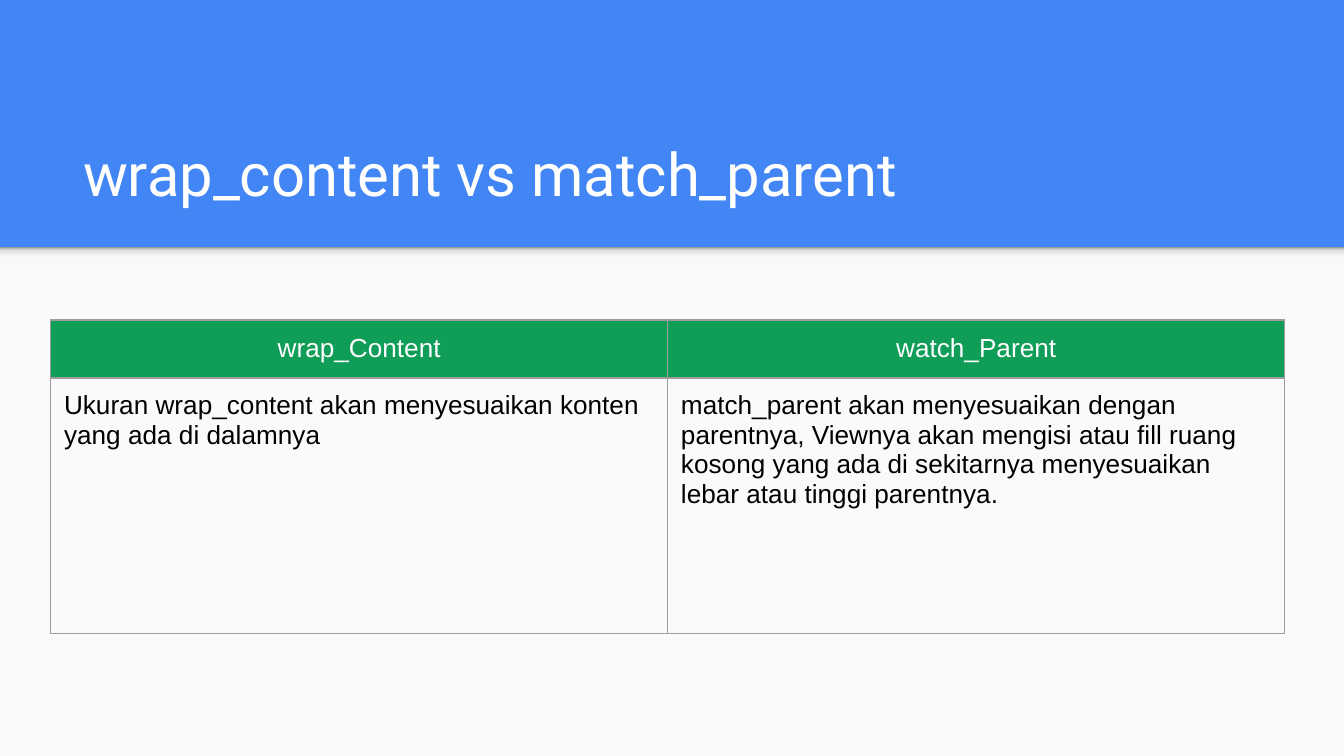
import pptx
import pptx.util
import pptx.dml.color
import pptx.enum.shapes
import pptx.enum.text
import pptx.oxml
import pptx.oxml.ns
from pptx.util import Cm

ALIGN = pptx.enum.text.PP_ALIGN
ANCHOR = pptx.enum.text.MSO_ANCHOR
NS = pptx.oxml.ns.nsdecls("a")
PAD = Cm(0.25)
WIDE, HIGH = Cm(25.4), Cm(14.29)
BAND = Cm(4.67)

ROWS = [
    ["wrap_Content", "watch_Parent"],
    ["Ukuran wrap_content akan menyesuaikan konten yang ada di dalamnya",
     "match_parent akan menyesuaikan dengan parentnya, Viewnya akan mengisi "
     "atau fill ruang kosong yang ada di sekitarnya menyesuaikan lebar atau "
     "tinggi parentnya."],
]


def paint(fill, tone):
    fill.solid()
    fill.fore_color.rgb = pptx.dml.color.RGBColor.from_string(tone)


def write(frame, text, size=14, font="Arial", tone="000000", align=ALIGN.LEFT):
    para = frame.paragraphs[0]
    para.alignment = align
    run = para.add_run()
    run.text = text
    run.font.size = pptx.util.Pt(size)
    run.font.name = font
    paint(run.font.fill, tone)


def add_rect(slide, left, top, width, height, tone):
    rect = slide.shapes.add_shape(
        pptx.enum.shapes.MSO_SHAPE.RECTANGLE, left, top, width, height)
    rect.shadow.inherit = False
    rect.line.fill.background()
    paint(rect.fill, tone)
    return rect


def fade(shape, stops, angle):
    """Swap the plain fill for a linear gradient of (percent, tone) stops."""
    marks = "".join(
        f'<a:gs pos="{pos * 1000}"><a:srgbClr val="{tone}"/></a:gs>'
        for pos, tone in stops)
    grad = pptx.oxml.parse_xml(
        f'<a:gradFill {NS} rotWithShape="1"><a:gsLst>{marks}</a:gsLst>'
        f'<a:lin ang="{angle * 60000}" scaled="0"/></a:gradFill>')
    props = shape.element.spPr
    props.replace(props.find(pptx.oxml.ns.qn("a:solidFill")), grad)


def edge(cell, tone, points):
    props = cell._tc.get_or_add_tcPr()
    for side in ("lnL", "lnR", "lnT", "lnB"):
        props.append(pptx.oxml.parse_xml(
            f'<a:{side} {NS} w="{pptx.util.Pt(points)}"><a:solidFill>'
            f'<a:srgbClr val="{tone}"/></a:solidFill></a:{side}>'))


def add_panel(slide, left, top, width, height):
    # Light body with a soft shade along its top edge
    add_rect(slide, left, top, width, height, "FAFAFA")
    shade = add_rect(slide, left, top, width, Cm(0.3), "F9F9F9")
    fade(shade, [(0, "F9F9F9"), (36, "F9F9F9"), (80, "DEDEDE"),
                 (100, "999999")], 270)


def add_title(slide, left, top, width, height, text):
    frame = slide.shapes.add_textbox(left, top, width, height).text_frame
    frame.word_wrap = True
    frame.vertical_anchor = ANCHOR.BOTTOM
    frame.margin_left = frame.margin_right = PAD
    frame.margin_top = frame.margin_bottom = PAD
    write(frame, text, size=32, font="Roboto", tone="FFFFFF")


def add_grid(slide, left, top, width, height, rows, head):
    table = slide.shapes.add_table(
        len(rows), len(rows[0]), left, top, width, height).table
    table.horz_banding = False
    table.rows[0].height = head
    table.rows[1].height = height - head
    for r, texts in enumerate(rows):
        for c, text in enumerate(texts):
            cell = table.cell(r, c)
            cell.margin_left = cell.margin_right = PAD
            cell.margin_top = cell.margin_bottom = PAD
            edge(cell, "9E9E9E", 0.75)
            if r == 0:
                paint(cell.fill, "0F9D58")
                write(cell.text_frame, text, tone="FFFFFF", align=ALIGN.CENTER)
            else:
                cell.fill.background()
                write(cell.text_frame, text)


def main():
    deck = pptx.Presentation()
    deck.slide_width, deck.slide_height = WIDE, HIGH
    slide = deck.slides.add_slide(deck.slide_layouts[6])
    paint(slide.background.fill, "4285F4")

    add_panel(slide, 0, BAND, WIDE, HIGH - BAND)
    add_title(slide, Cm(1.32), Cm(2.06), Cm(22.83), Cm(2.13),
              "wrap_content vs match_parent")
    add_grid(slide, Cm(0.96), Cm(6.05), Cm(23.32), Cm(5.92), ROWS, Cm(1.09))
    deck.save("out.pptx")


if __name__ == "__main__":
    main()
